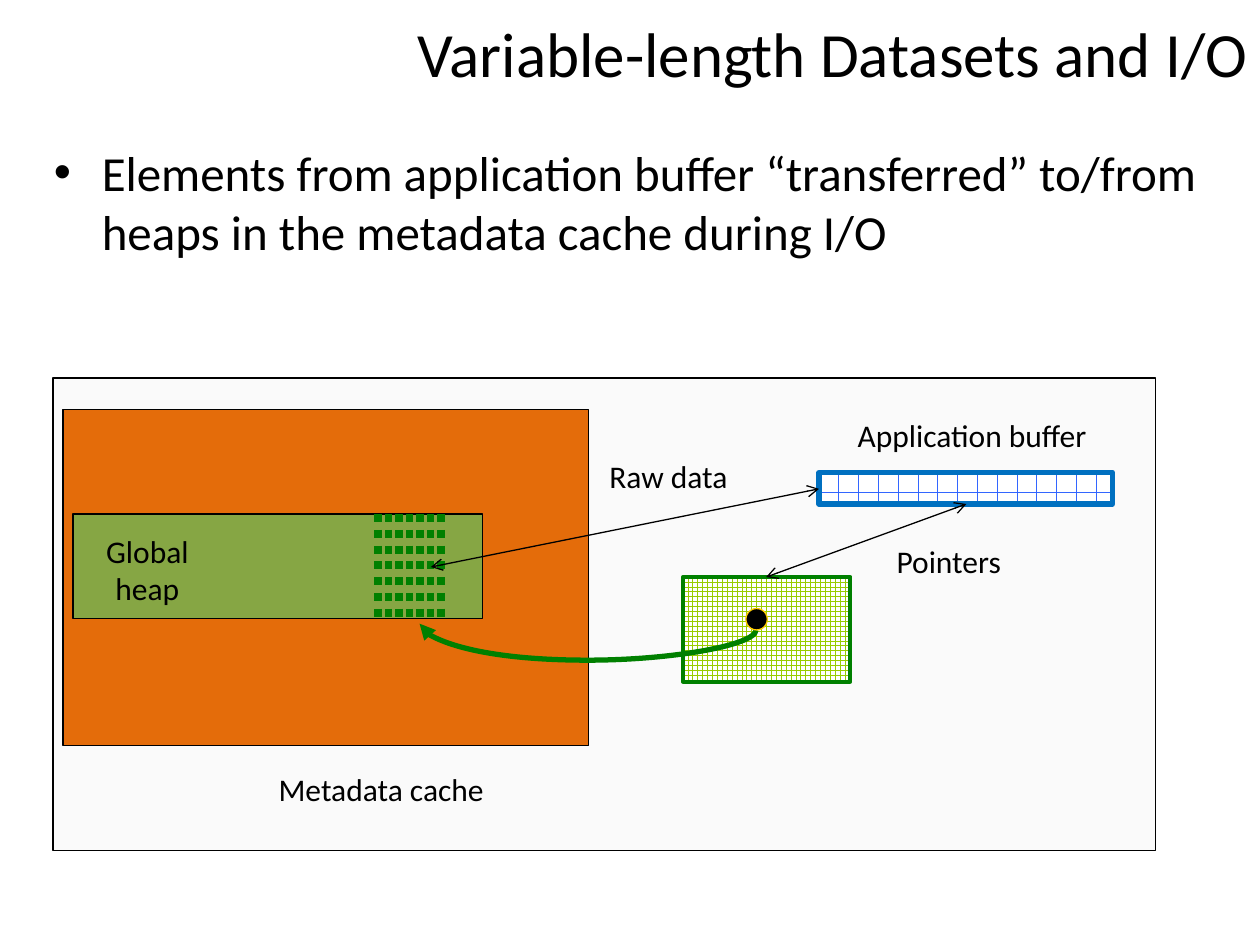
from dataclasses import dataclass

from lxml import etree
from pptx import Presentation
from pptx.dml.color import RGBColor
from pptx.enum import dml, shapes, text
from pptx.oxml import ns
from pptx.util import Inches, Pt


@dataclass(frozen=True)
class Theme:
    font: str = "Calibri"
    title: int = 36
    body: int = 28
    label: int = 18
    ink: str = "000000"
    paper: str = "FFFFFF"
    panel: str = "FAFAFA"
    cache: str = "E46C0A"
    heap: str = "86A644"
    green: str = "008000"
    lime: str = "99CC00"
    blue: str = "0070C0"
    grid_blue: str = "3366FF"
    gold: str = "FFCC00"


THEME = Theme()
RECT = shapes.MSO_SHAPE.RECTANGLE
STRAIGHT = shapes.MSO_CONNECTOR.STRAIGHT


def rgb(value):
    return RGBColor.from_string(value)


def inches(values):
    return [Inches(value) for value in values]


def add_text(slide, box, words, size, align, wrap=True, anchor=text.MSO_ANCHOR.TOP):
    frame = slide.shapes.add_textbox(*inches(box)).text_frame
    frame.text = words
    frame.word_wrap = wrap
    frame.vertical_anchor = anchor
    paragraph = frame.paragraphs[0]
    paragraph.alignment = align
    font = paragraph.runs[0].font
    font.name = THEME.font
    font.size = Pt(size)
    font.color.rgb = rgb(THEME.ink)
    return paragraph


def add_label(slide, box, words, wrap=False):
    add_text(slide, box, words, THEME.label, text.PP_ALIGN.CENTER, wrap)


def add_bullet(slide, box, words):
    paragraph = add_text(slide, box, words, THEME.body, text.PP_ALIGN.LEFT)
    paragraph.space_before = Pt(5.6)
    properties = paragraph._p.get_or_add_pPr()
    properties.set("marL", str(Inches(0.38)))
    properties.set("indent", str(Inches(-0.38)))
    etree.SubElement(properties, ns.qn("a:buFont"), typeface="Arial")
    etree.SubElement(properties, ns.qn("a:buChar"), char="•")


def add_block(slide, box, fill, line, width=0.75, preset=RECT, pattern=None):
    block = slide.shapes.add_shape(preset, *inches(box))
    block.shadow.inherit = False
    if pattern:
        block.fill.patterned()
        block.fill.pattern = pattern
        block.fill.back_color.rgb = rgb(THEME.paper)
    else:
        block.fill.solid()
    block.fill.fore_color.rgb = rgb(fill)
    block.line.color.rgb = rgb(line)
    block.line.width = Pt(width)


def add_link(target, ends, color, width, kind=STRAIGHT, head=None, tail=None):
    link = target.shapes.add_connector(kind, *inches(ends))
    link.line.color.rgb = rgb(color)
    link.line.width = Pt(width)
    for tag, arrow in (("a:headEnd", head), ("a:tailEnd", tail)):
        if arrow:
            etree.SubElement(link.line._get_or_add_ln(), ns.qn(tag), type=arrow)
    etree.SubElement(link._element.spPr, ns.qn("a:effectLst"))
    return link


def add_heap_elements(slide):
    group = slide.shapes.add_group_shape()
    for column in range(7):
        x = 3 + column / 12
        strip = add_link(group, (x, 4.08, x, 4.92), THEME.green, 4.5)
        strip.line.dash_style = dml.MSO_LINE.ROUND_DOT


def add_heap_pointer(slide):
    curve = add_link(slide, (4.64, 6.31, 4.69, 3.64), THEME.green, 3,
                     shapes.MSO_CONNECTOR.CURVE, tail="triangle")
    properties = curve._element.spPr
    properties.find(ns.qn("a:xfrm")).set("rot", str(270 * 60000))
    geometry = properties.find(ns.qn("a:prstGeom"))
    adjustments = geometry.find(ns.qn("a:avLst"))
    if adjustments is None:
        adjustments = etree.SubElement(geometry, ns.qn("a:avLst"))
    etree.SubElement(adjustments, ns.qn("a:gd"), name="adj1", fmla="val -480000")


def add_memory_diagram(slide):
    add_block(slide, (0.42, 3, 8.75, 3.75), THEME.panel, THEME.ink)
    add_block(slide, (5.42, 4.58, 1.33, 0.83), THEME.lime, THEME.green, 2.25,
              pattern=dml.MSO_PATTERN.LARGE_GRID)
    add_block(slide, (0.5, 3.25, 4.17, 2.67), THEME.cache, THEME.ink)
    add_block(slide, (0.58, 4.08, 3.25, 0.83), THEME.heap, THEME.ink)
    add_heap_elements(slide)
    add_label(slide, (0.67, 4.17, 1, 0.71), "Global heap", wrap=True)
    add_label(slide, (6.69, 3.25, 2.05, 0.4), "Application buffer")
    add_label(slide, (4.73, 3.58, 1.15, 0.4), "Raw data")
    add_heap_pointer(slide)
    add_block(slide, (5.92, 4.83, 0.17, 0.17), THEME.ink, THEME.gold,
              preset=shapes.MSO_SHAPE.OVAL)
    add_label(slide, (2.1, 6.06, 1.85, 0.4), "Metadata cache")
    add_block(slide, (6.5, 3.75, 2.33, 0.25), THEME.grid_blue, THEME.blue, 3,
              pattern=dml.MSO_PATTERN.DOTTED_GRID)
    add_label(slide, (7.01, 4.25, 1.04, 0.4), "Pointers")
    for ends in ((3.42, 4.5, 6.5, 3.88), (6.08, 4.58, 7.67, 4)):
        add_link(slide, ends, THEME.ink, 0.75, head="arrow", tail="arrow")


def main():
    deck = Presentation()
    deck.slide_width, deck.slide_height = inches((10, 7.5))
    slide = deck.slides.add_slide(deck.slide_layouts[6])
    add_text(slide, (1.42, 0, 8.58, 0.83), "Variable-length Datasets and I/O",
             THEME.title, text.PP_ALIGN.RIGHT, anchor=text.MSO_ANCHOR.MIDDLE)
    add_bullet(slide, (0.33, 1.08, 9.33, 1.67),
               "Elements from application buffer “transferred” to/from "
               "heaps in the metadata cache during I/O")
    add_memory_diagram(slide)
    deck.save("out.pptx")


main()
